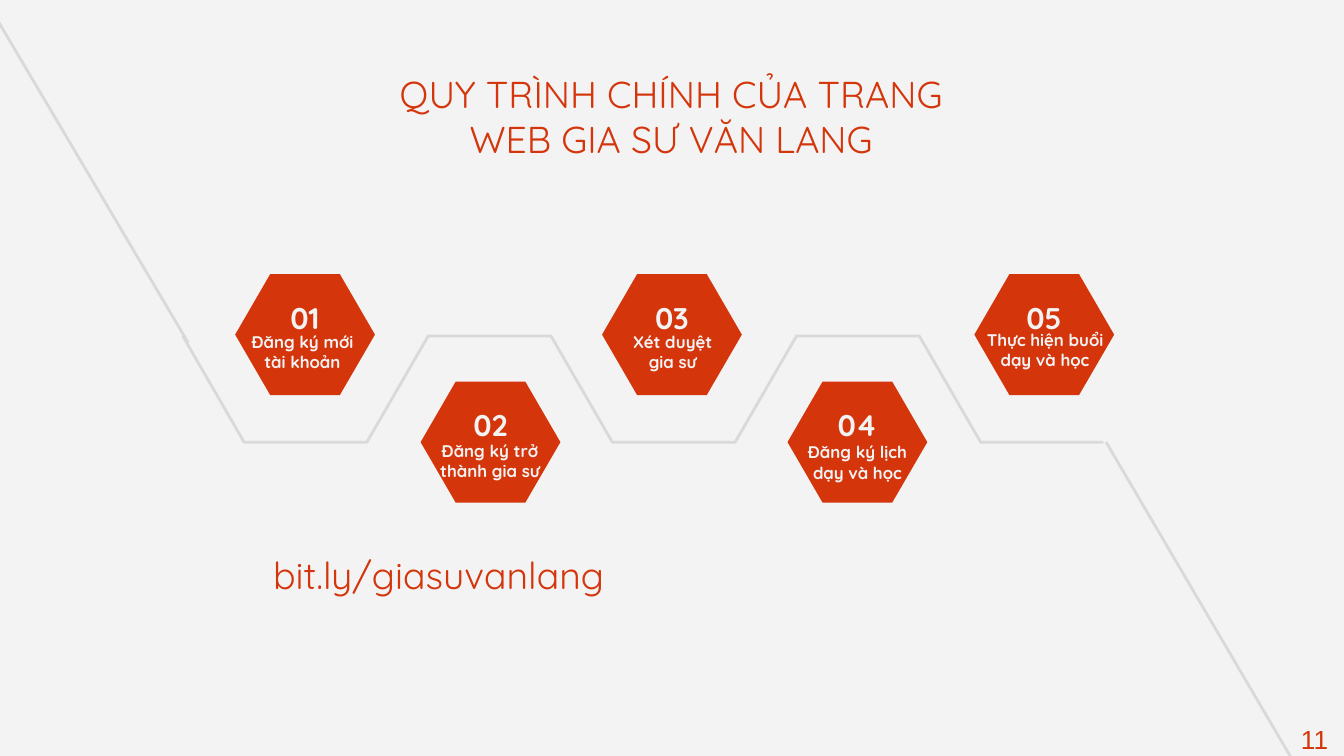
from pptx import Presentation
from pptx.dml.color import RGBColor
from pptx.enum.shapes import MSO_CONNECTOR as Conn, MSO_SHAPE as Shape
from pptx.enum.text import MSO_ANCHOR as Anchor, PP_ALIGN as Align
from pptx.oxml.ns import qn
from pptx.util import Inches, Pt
from lxml.etree import SubElement

W = Inches(10)
H = W * 9 // 16
COL = ROW = W // 10
RED = RGBColor(0xD4, 0x35, 0x0B)
PALE = RGBColor(0xF3, 0xF3, 0xF3)
GREY = RGBColor(0xD9, 0xD9, 0xD9)
HEX_W, HEX_H = 1.04, 0.9
HIGH, LOW = 2.04, 2.84
STEPS = [
    ("01", "Đăng ký mới tài khoản", 1.75, HIGH, (-0.04, 0.33, 1.08)),
    ("02", "Đăng ký trở thành gia sư", 3.13, LOW, (-0.09, 0.34, 1.21)),
    ("03", "Xét duyệt\ngia sư", 4.48, HIGH, (-0.08, 0.33, 1.21)),
    ("04", "Đăng ký lịch dạy và học", 5.86, LOW, (-0.05, 0.35, 1.14)),
    ("05", "Thực hiện buổi dạy và học", 7.25, HIGH, (-0.08, 0.31, 1.21)),
]


def emu(box):
    """Turn grid columns and rows into slide lengths."""
    x, y, w, h = box
    return int(x * COL), int(y * ROW), int(w * COL), int(h * ROW)


def add_text(s, text, box, size=20, color=RED, font="Quicksand", bold=False):
    """Place centred text at the top of a box, one paragraph a line."""
    tf = s.shapes.add_textbox(*emu(box)).text_frame
    tf.word_wrap = True
    tf.vertical_anchor = Anchor.TOP
    tf.margin_left = tf.margin_right = tf.margin_top = tf.margin_bottom = Inches(0.1)
    for i, line in enumerate(text.split("\n")):
        p = tf.paragraphs[0] if i == 0 else tf.add_paragraph()
        p.alignment = Align.CENTER
        r = p.add_run()
        r.text = line
        r.font.name = font
        r.font.size = Pt(size)
        r.font.bold = bold
        r.font.color.rgb = color


def add_step(s, number, label, box, label_box):
    """Draw a hexagon with its number and label."""
    x, y, w, h = box
    dx, dy, label_w = label_box
    sp = s.shapes.add_shape(Shape.HEXAGON, *emu(box))
    sp.adjustments[0] = 0.29
    sp.shadow.inherit = False
    sp.fill.solid()
    sp.fill.fore_color.rgb = RED
    sp.line.fill.background()
    add_text(s, number, (x, y + 0.09, w, 0.4), size=16, color=PALE, bold=True)
    add_text(s, label, (x + dx, y + dy, label_w, 0.4), size=9, color=PALE, bold=True)


def add_zigzag(s, box, waves=5):
    """Draw a path that alternates between the bottom and top of a box."""
    x, y, w, h = emu(box)
    pitch = w / waves
    points = []
    for i in range(waves):
        level = y + h if i % 2 == 0 else y
        points += [(x + (i + 1 / 3) * pitch, level), (x + (i + 1) * pitch, level)]
    fb = s.shapes.build_freeform(x, y)
    fb.add_line_segments([(int(px), int(py)) for px, py in points], close=False)
    sp = fb.convert_to_shape()
    sp.shadow.inherit = False
    sp.fill.background()
    sp.line.color.rgb = GREY
    sp.line.width = Pt(1.5)


def add_line(s, box):
    """Draw a straight grey line across a box from its top left."""
    x, y, w, h = emu(box)
    cn = s.shapes.add_connector(Conn.STRAIGHT, x, y, x + w, y + h)
    cn.line.color.rgb = GREY
    cn.line.width = Pt(1.5)
    SubElement(cn._element.spPr, qn("a:effectLst"))


def add_process(s):
    """Draw the route across the slide and the steps along it."""
    add_zigzag(s, (1.36, 2.5, 6.85, 0.79))
    add_line(s, (-0.06, 0.08, 1.46, 2.47))
    add_line(s, (8.23, 3.29, 1.39, 2.37))
    for number, label, x, y, label_box in STEPS:
        add_step(s, number, label, (x, y, HEX_W, HEX_H), label_box)


def main():
    """Build the slide and save it."""
    prs = Presentation()
    prs.slide_width, prs.slide_height = W, H
    s = prs.slides.add_slide(prs.slide_layouts[6])
    s.background.fill.solid()
    s.background.fill.fore_color.rgb = PALE
    add_process(s)
    add_text(s, "QUY TRÌNH CHÍNH CỦA TRANG WEB GIA SƯ VĂN LANG", (2.66, 0.43, 4.67, 1.06))
    add_text(s, "bit.ly/giasuvanlang", (0.93, 4.01, 4.67, 1.06))
    add_text(s, "11", (9.57, 5.28, 0.42, 0.34), size=14, font="Arial")
    prs.save("out.pptx")


if __name__ == "__main__":
    main()
